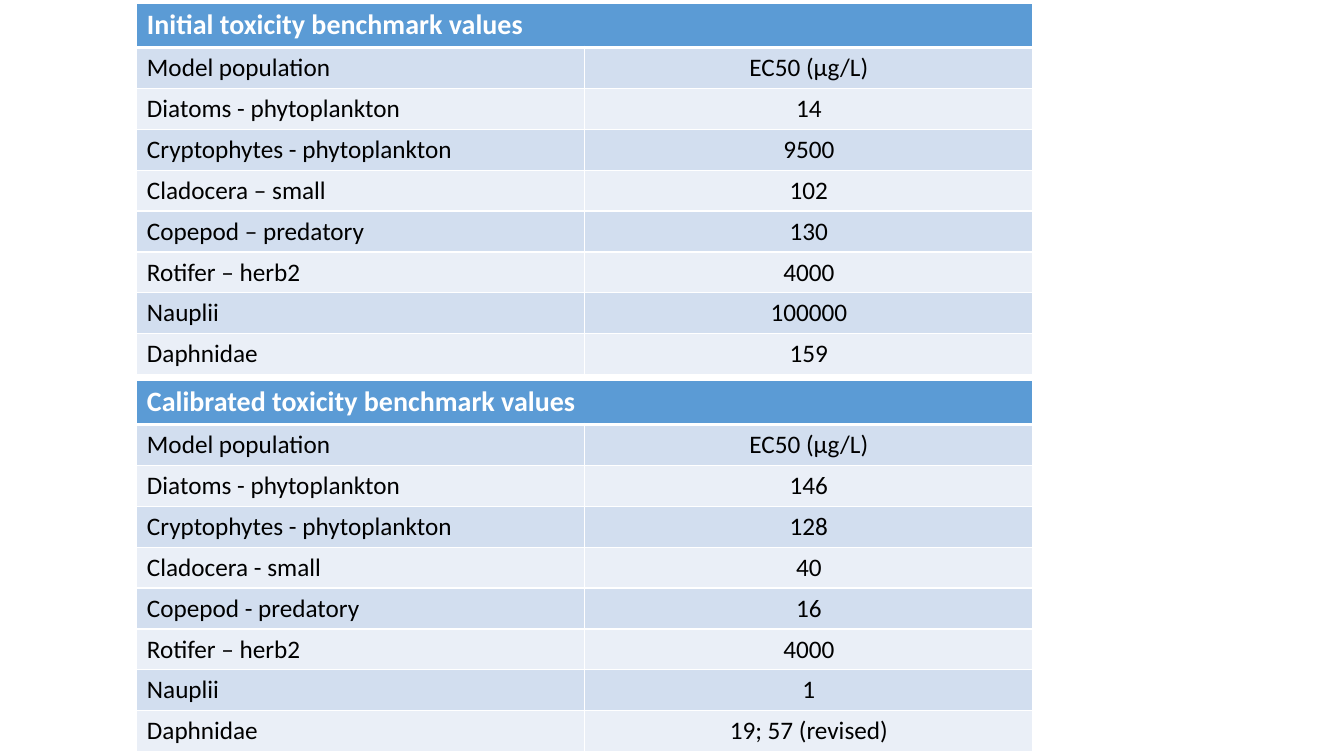
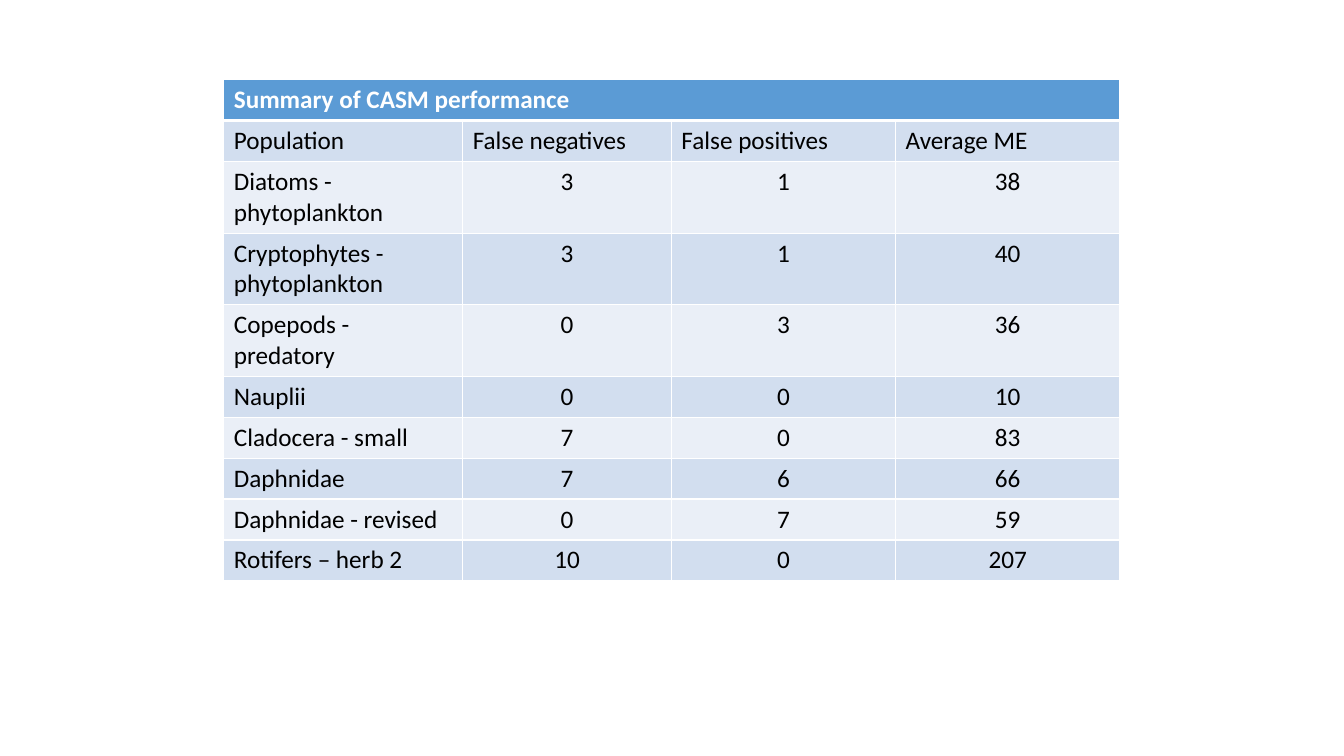
from dataclasses import dataclass

from lxml.etree import SubElement
from pptx import Presentation
from pptx.dml.color import RGBColor
from pptx.enum.text import PP_ALIGN
from pptx.oxml.ns import qn
from pptx.slide import Slide
from pptx.table import _Cell
from pptx.util import Cm, Pt

FONT = "Calibri"
WHITE = "FFFFFF"
BLACK = "000000"
TITLE_FILL = "5B9BD5"
BAND_FILLS = ("EAEFF7", "D2DEEF")
BODY_SIZE = 18
ROW_HEIGHT = 1.03
THIN, THICK = 1, 3


@dataclass(frozen=True)
class BenchmarkTable:
    """A titled table; lengths are in centimetres."""
    title: str
    left: float
    top: float
    columns: tuple[float, ...]
    headings: tuple[str, ...]
    rows: tuple[tuple[str, ...], ...]
    title_size: int = BODY_SIZE
    center_headings: bool = False


EC50_LEFT = 3.45
EC50_COLUMNS = (11.29, 11.29)
EC50_HEADINGS = ("Model population", "EC50 (µg/L)")

INITIAL = BenchmarkTable(
    "Initial toxicity benchmark values", EC50_LEFT, 0.08, EC50_COLUMNS, EC50_HEADINGS,
    (
        ("Diatoms - phytoplankton", "14"),
        ("Cryptophytes - phytoplankton", "9500"),
        ("Cladocera – small", "102"),
        ("Copepod – predatory", "130"),
        ("Rotifer – herb2", "4000"),
        ("Nauplii", "100000"),
        ("Daphnidae", "159"),
    ),
    title_size=20, center_headings=True,
)
CALIBRATED = BenchmarkTable(
    "Calibrated toxicity benchmark values", EC50_LEFT, 9.58, EC50_COLUMNS, EC50_HEADINGS,
    (
        ("Diatoms - phytoplankton", "146"),
        ("Cryptophytes - phytoplankton", "128"),
        ("Cladocera - small", "40"),
        ("Copepod - predatory", "16"),
        ("Rotifer – herb2", "4000"),
        ("Nauplii", "1"),
        ("Daphnidae", "19; 57 (revised)"),
    ),
    title_size=20, center_headings=True,
)
PERFORMANCE = BenchmarkTable(
    "Summary of CASM performance", 5.64, 2.01, (6.02, 5.26, 5.65, 5.65),
    ("Population", "False negatives", "False positives", "Average ME"),
    (
        ("Diatoms - phytoplankton", "3", "1", "38"),
        ("Cryptophytes - phytoplankton", "3", "1", "40"),
        ("Copepods - predatory", "0", "3", "36"),
        ("Nauplii", "0", "0", "10"),
        ("Cladocera - small", "7", "0", "83"),
        ("Daphnidae", "7", "6", "66"),
        ("Daphnidae - revised", "0", "7", "59"),
        ("Rotifers – herb 2", "10", "0", "207"),
    ),
)
SLIDES = ((INITIAL, CALIBRATED), (PERFORMANCE,))


def rgb(value: str) -> RGBColor:
    return RGBColor.from_string(value)


def set_borders(cell: _Cell, top: int, bottom: int) -> None:
    """Draw white borders; must run before the fill, which follows them in the XML."""
    tc_pr = cell._tc.get_or_add_tcPr()
    for tag, width in (("a:lnL", THIN), ("a:lnR", THIN), ("a:lnT", top), ("a:lnB", bottom)):
        ln = SubElement(tc_pr, qn(tag), w=str(Pt(width)))
        fill = SubElement(ln, qn("a:solidFill"))
        SubElement(fill, qn("a:srgbClr"), val=WHITE)


def format_cell(cell: _Cell, row: int) -> None:
    """Set the borders and fill that belong to a table row."""
    set_borders(cell, THICK if row == 1 else THIN, THICK if row == 0 else THIN)
    cell.fill.solid()
    cell.fill.fore_color.rgb = rgb(BAND_FILLS[row % 2] if row else TITLE_FILL)


def write_cell(cell: _Cell, text: str, size: int, color: str, bold: bool, centered: bool) -> None:
    p = cell.text_frame.paragraphs[0]
    p.text = text
    p.alignment = PP_ALIGN.CENTER if centered else PP_ALIGN.LEFT
    font = p.runs[0].font
    font.name, font.size, font.bold = FONT, Pt(size), bold
    font.color.rgb = rgb(color)


def add_benchmark_table(s: Slide, spec: BenchmarkTable) -> None:
    body = (spec.headings, *spec.rows)
    n_rows, n_cols = len(body) + 1, len(spec.columns)
    table = s.shapes.add_table(
        n_rows, n_cols, Cm(spec.left), Cm(spec.top),
        Cm(sum(spec.columns)), Cm(ROW_HEIGHT * n_rows),
    ).table
    for column, width in zip(table.columns, spec.columns):
        column.width = Cm(width)
    for i, row in enumerate(table.rows):
        row.height = Cm(ROW_HEIGHT)
        for cell in row.cells:
            format_cell(cell, i)

    title = table.cell(0, 0)
    title.merge(table.cell(0, n_cols - 1))
    write_cell(title, spec.title, spec.title_size, WHITE, bold=True, centered=False)
    for i, texts in enumerate(body, start=1):
        for j, text in enumerate(texts):
            centered = j > 0 and (i > 1 or spec.center_headings)
            write_cell(table.cell(i, j), text, BODY_SIZE, BLACK, bold=False, centered=centered)


def main() -> None:
    prs = Presentation()
    prs.slide_width, prs.slide_height = Cm(33.87), Cm(19.05)
    for tables in SLIDES:
        s = prs.slides.add_slide(prs.slide_layouts[6])
        for spec in tables:
            add_benchmark_table(s, spec)
    prs.save("out.pptx")


if __name__ == "__main__":
    main()
